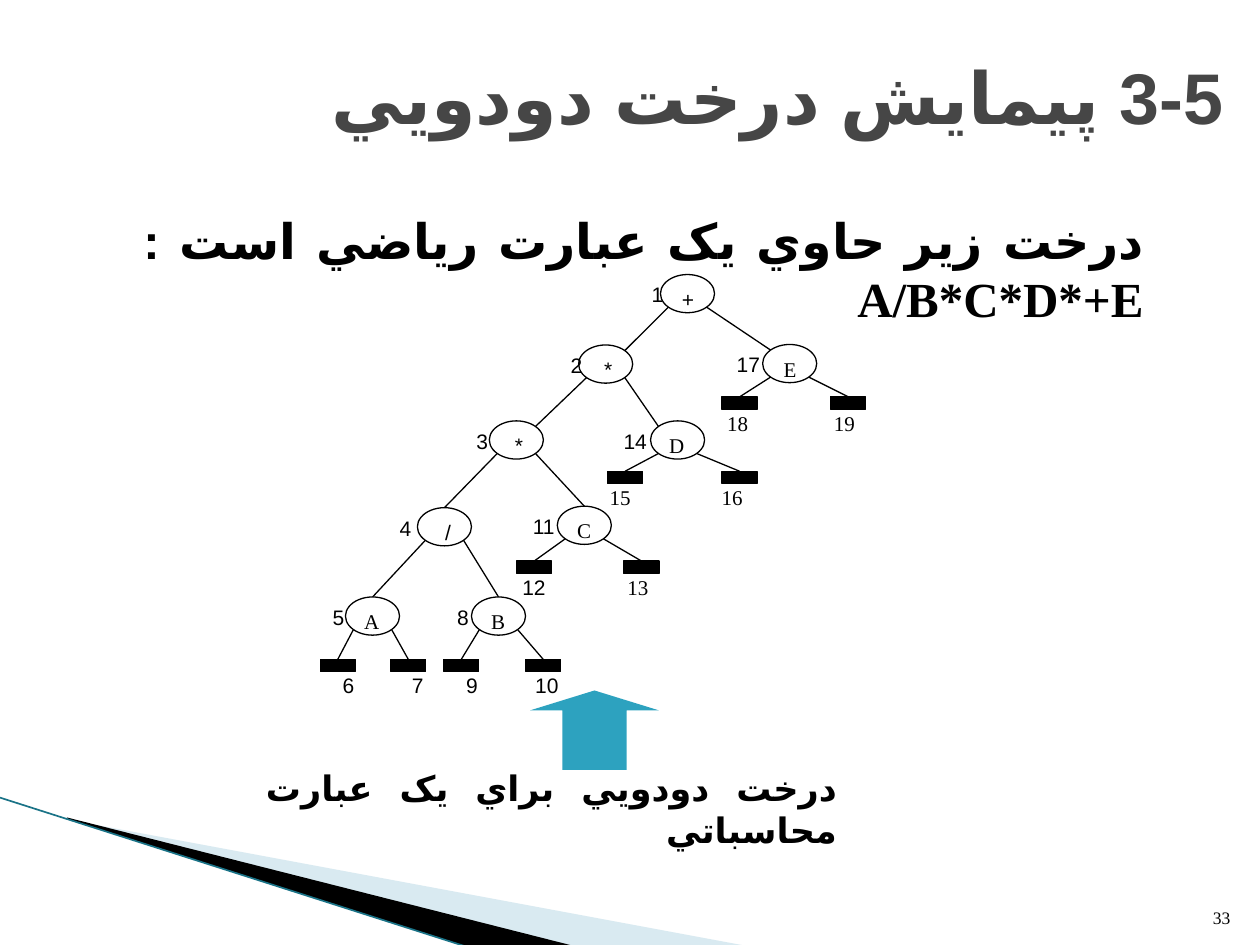
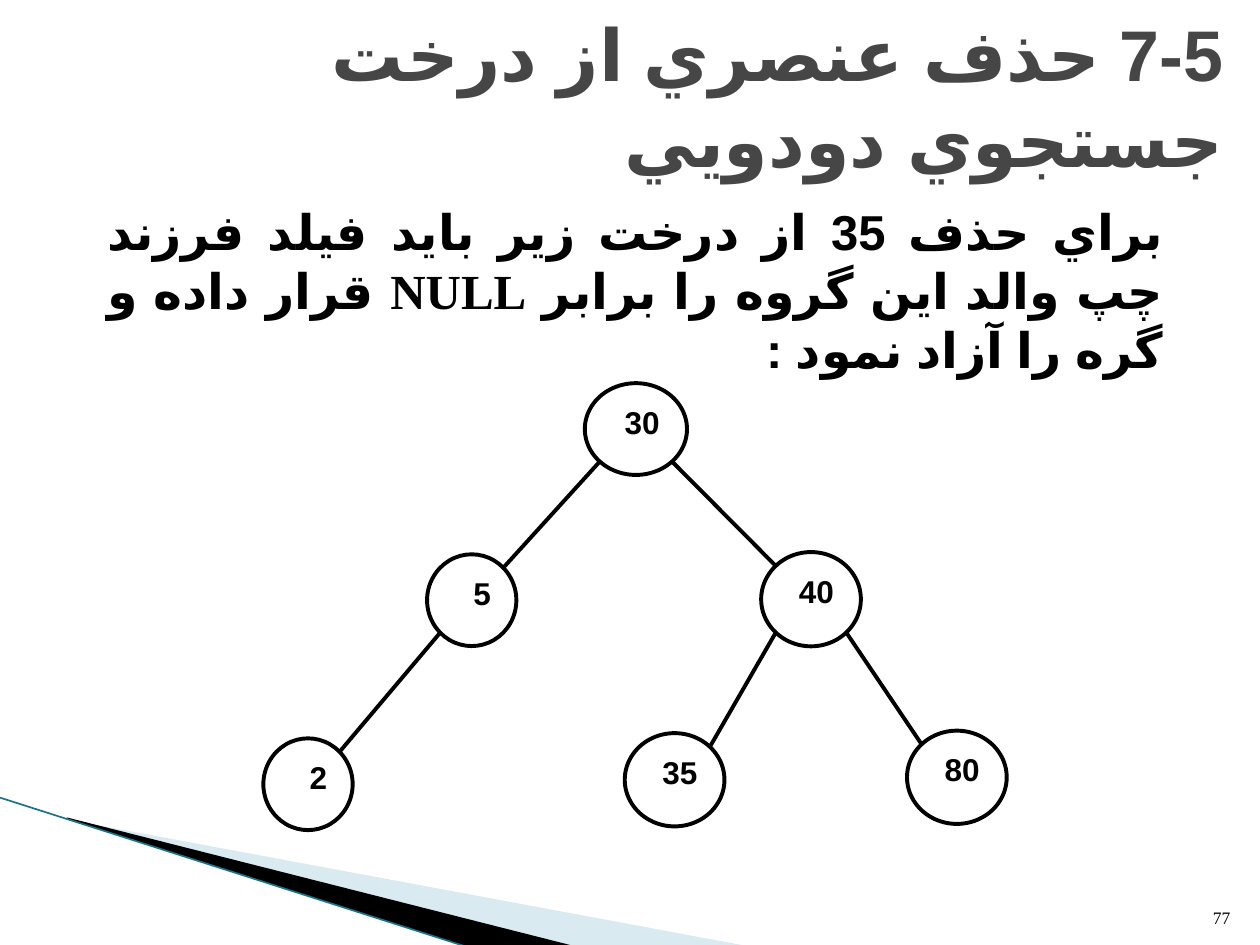
from dataclasses import dataclass
from itertools import groupby
from math import sqrt

from lxml.etree import SubElement
from pptx import Presentation
from pptx.dml.color import RGBColor
from pptx.enum.shapes import MSO_CONNECTOR, MSO_SHAPE
from pptx.enum.text import MSO_ANCHOR, PP_ALIGN
from pptx.oxml.ns import qn
from pptx.util import Cm, Pt

COLORS = {
    "ink": "000000",
    "paper": "FFFFFF",
    "title": "464646",
    "arrow": "2DA2BF",
    "band": "A0CBDC",
    "band_edge": "1A7387",
}
TITLE_FONT = "Noto Sans Mono"
BODY_FONT = "Times New Roman"
DIGIT_FONT = "Arial"
PERSIAN_FONT = "DejaVu Sans"

DIAGONAL = sqrt(2) / 4  # share of an ellipse's size from its centre to its 45° point
LEAF_WIDTH, LEAF_HEIGHT = 0.71, 0.25
NUMBER_WIDTH, NUMBER_HEIGHT = 1.09, 0.51


@dataclass
class Leaf:
    """Empty subtree; x, y is the middle of its top edge."""
    x: float
    y: float
    number: str
    number_x: float
    rtl: bool = True


@dataclass
class Node:
    """Tree node; x, y is its centre. Edges enter a crowned node at its top."""
    text: str
    x: float
    y: float
    children: tuple = ()
    number: str = ""
    number_x: float = 0
    crowned: bool = False
    width: float = 1.09
    height: float = 0.77


@dataclass
class TreeStyle:
    line_width: float
    size: float
    bold: bool


EXPRESSION_TREE = Node("+", 7.76, 0.38, number="1", number_x=6.43, children=(
    Node("*", 6.11, 1.8, number="2", number_x=4.8, children=(
        Node("*", 4.31, 3.33, number="3", number_x=2.9, children=(
            Node("/", 2.86, 5.08, number="4", number_x=1.35, crowned=True, children=(
                Node("A", 1.41, 6.88, number="5", number_x=0, crowned=True, children=(
                    Leaf(0.71, 7.75, "6", 0.2), Leaf(2.13, 7.75, "7", 1.6))),
                Node("B", 3.95, 6.88, number="8", number_x=2.51, crowned=True, children=(
                    Leaf(3.2, 7.75, "9", 2.69), Leaf(4.85, 7.75, "10", 4.32))),
            )),
            Node("C", 5.68, 5.05, number="11", number_x=4.24, crowned=True, children=(
                Leaf(4.67, 5.77, "12", 4.06), Leaf(6.83, 5.77, "13", 6.3, rtl=False))),
        )),
        Node("D", 7.56, 3.33, number="14", number_x=6.1, children=(
            Leaf(6.5, 3.96, "15", 5.94, rtl=False), Leaf(8.81, 3.96, "16", 8.2, rtl=False))),
    )),
    Node("E", 9.82, 1.79, number="17", number_x=8.38, children=(
        Leaf(8.81, 2.46, "18", 8.31, rtl=False), Leaf(11, 2.46, "19", 10.46, rtl=False))),
))

SEARCH_TREE = Node("30", 7.51, 0.93, width=2.06, height=1.85, children=(
    Node("5", 4.2, 4.38, width=1.8, height=1.85, children=(
        Node("2", 0.9, 8.09, width=1.8, height=1.85),)),
    Node("40", 11.04, 4.36, width=2.01, height=1.9, children=(
        Node("35", 8.29, 8, width=2.01, height=1.88),
        Node("80", 13.98, 7.95, width=2.01, height=1.88))),
))


def rgb(color):
    return RGBColor.from_string(COLORS[color])


def write(shape, text, *, size, font=BODY_FONT, digit_font=DIGIT_FONT, color="ink",
          bold=False, align=PP_ALIGN.RIGHT, rtl=True, anchor=MSO_ANCHOR.TOP, inset=0.25):
    """Fill a shape with one paragraph; Persian letters get a font of their own."""
    frame = shape.text_frame
    frame.word_wrap = True
    frame.vertical_anchor = anchor
    frame.margin_left = Cm(inset)
    paragraph = frame.paragraphs[0]
    paragraph.alignment = align
    if rtl:
        paragraph._p.get_or_add_pPr().set("rtl", "1")
    for is_ascii, letters in groupby(text, str.isascii):
        run = paragraph.add_run()
        run.text = "".join(letters)
        run.font.size = Pt(size)
        run.font.bold = bold
        run.font.name = font
        run.font.color.rgb = rgb(color)
        SubElement(run._r.get_or_add_rPr(), qn("a:cs"),
                   typeface=digit_font if is_ascii else PERSIAN_FONT)


def add_text(canvas, box, text, **text_format):
    write(canvas.add_textbox(*map(Cm, box)), text, **text_format)


def paint(shape, fill, line_width=0):
    shape.shadow.inherit = False
    shape.fill.solid()
    shape.fill.fore_color.rgb = rgb(fill)
    if line_width:
        shape.line.color.rgb = rgb("ink")
        shape.line.width = Pt(line_width)
    else:
        shape.line.fill.background()


def add_line(canvas, start, end, width, color="ink"):
    line = canvas.add_connector(MSO_CONNECTOR.STRAIGHT, *map(Cm, (*start, *end)))
    line.line.color.rgb = rgb(color)
    line.line.width = Pt(width)
    SubElement(line._element.spPr, qn("a:effectLst"))


def add_wedge(canvas, points, fill):
    first, *rest = [(Cm(x), Cm(y)) for x, y in points]
    outline = canvas.build_freeform(*first, scale=1)
    outline.add_line_segments(rest, close=True)
    wedge = outline.convert_to_shape()
    paint(wedge, fill)
    return wedge


def add_corner_band(canvas, left, top):
    def place(*points):
        return [(left + x, top + y) for x, y in points]

    pale = add_wedge(canvas, place((1.4, 0.45), (15.11, 3), (11.58, 3), (1.4, 0.43)), "band")
    tint = pale._element.spPr.find(qn("a:solidFill"))[0]
    SubElement(tint, qn("a:alpha"), val="40000")
    add_wedge(canvas, place((1.35, 0.4), (11.61, 3), (9.45, 3.02), (1.37, 0.43)), "ink")
    add_line(canvas, *place((0, 0), (9.45, 3.02)), 0.95, "band_edge")


def add_number(canvas, left, top, number, rtl=True):
    add_text(canvas, (left, top, NUMBER_WIDTH, NUMBER_HEIGHT), number, size=12, rtl=rtl,
             align=PP_ALIGN.RIGHT if rtl else PP_ALIGN.LEFT)


def draw_leaf(canvas, leaf, left, top, style):
    bar = canvas.add_shape(MSO_SHAPE.RECTANGLE, Cm(left + leaf.x - LEAF_WIDTH / 2),
                           Cm(top + leaf.y), Cm(LEAF_WIDTH), Cm(LEAF_HEIGHT))
    paint(bar, "ink", style.line_width)
    add_number(canvas, left + leaf.number_x, top + leaf.y + 0.15, leaf.number, leaf.rtl)


def entry_point(child, side):
    """Where the edge from the parent meets a child lying on the given side."""
    if isinstance(child, Leaf):
        return child.x, child.y
    if child.crowned:
        return child.x, child.y - child.height / 2
    return child.x - side * child.width * DIAGONAL, child.y - child.height * DIAGONAL


def draw_tree(canvas, node, left, top, style):
    oval = canvas.add_shape(MSO_SHAPE.OVAL, Cm(left + node.x - node.width / 2),
                            Cm(top + node.y - node.height / 2),
                            Cm(node.width), Cm(node.height))
    paint(oval, "paper", style.line_width)
    write(oval, node.text, size=style.size, bold=style.bold)
    if node.number:
        add_number(canvas, left + node.number_x, top + node.y - 0.36, node.number)
    for child in node.children:
        side = 1 if child.x > node.x else -1
        end_x, end_y = entry_point(child, side)
        start = (left + node.x + side * node.width * DIAGONAL,
                 top + node.y + node.height * DIAGONAL)
        add_line(canvas, start, (left + end_x, top + end_y), style.line_width)
        draw = draw_leaf if isinstance(child, Leaf) else draw_tree
        draw(canvas, child, left, top, style)


def add_tree(slide, root, left, top, style):
    draw_tree(slide.shapes.add_group_shape().shapes, root, left, top, style)


def add_caption(canvas, left, top, text):
    """Caption with an arrow pointing up to the tree."""
    add_text(canvas, (left, top, 12.01, 1.12), text, size=20, bold=True,
             align=PP_ALIGN.JUSTIFY)
    arrow = canvas.add_shape(MSO_SHAPE.UP_ARROW, Cm(left + 5.58), Cm(top - 1.4),
                             Cm(2.59), Cm(1.6))
    arrow.adjustments[0], arrow.adjustments[1] = 0.5, 0.25
    paint(arrow, "arrow")


def add_lesson_slide(deck, title, statement, statement_box, page, statement_inset=0.25):
    slide = deck.slides.add_slide(deck.slide_layouts[6])
    canvas = slide.shapes
    add_corner_band(canvas, 0, 16.08)
    add_text(canvas, (0.51, 0.76, 24.41, 2.36), title, size=41, font=TITLE_FONT,
             color="title", bold=True, anchor=MSO_ANCHOR.MIDDLE)
    add_text(canvas, statement_box, statement, size=28, bold=True,
             align=PP_ALIGN.JUSTIFY, inset=statement_inset)
    add_text(canvas, (24.03, 17.81, 1.02, 1.02), page, size=10, digit_font=BODY_FONT,
             anchor=MSO_ANCHOR.BOTTOM)
    return slide


def main():
    deck = Presentation()
    deck.slide_width, deck.slide_height = Cm(25.4), Cm(19.05)

    traversal = add_lesson_slide(
        deck, "3-5 پيمايش درخت دودويي",
        "درخت زير حاوي يک عبارت رياضي است : A/B*C*D*+E",
        (2.29, 4.11, 21.01, 1.45), "33", statement_inset=0.6)
    add_tree(traversal, EXPRESSION_TREE, 6.1, 5.54, TreeStyle(0.75, 12, False))
    add_caption(traversal.shapes, 5.11, 15.32, "درخت دودويي براي يک عبارت محاسباتي")

    deletion = add_lesson_slide(
        deck, "7-5 حذف عنصري از درخت جستجوي دودويي",
        "براي حذف 35 از درخت زير بايد فيلد فرزند چپ والد اين گروه را برابر NULL "
        "قرار داده و گره را آزاد نمود :",
        (1.91, 3.94, 21.79, 2.64), "77")
    add_tree(deletion, SEARCH_TREE, 5.31, 7.72, TreeStyle(2.25, 18, True))

    deck.save("out.pptx")


if __name__ == "__main__":
    main()
